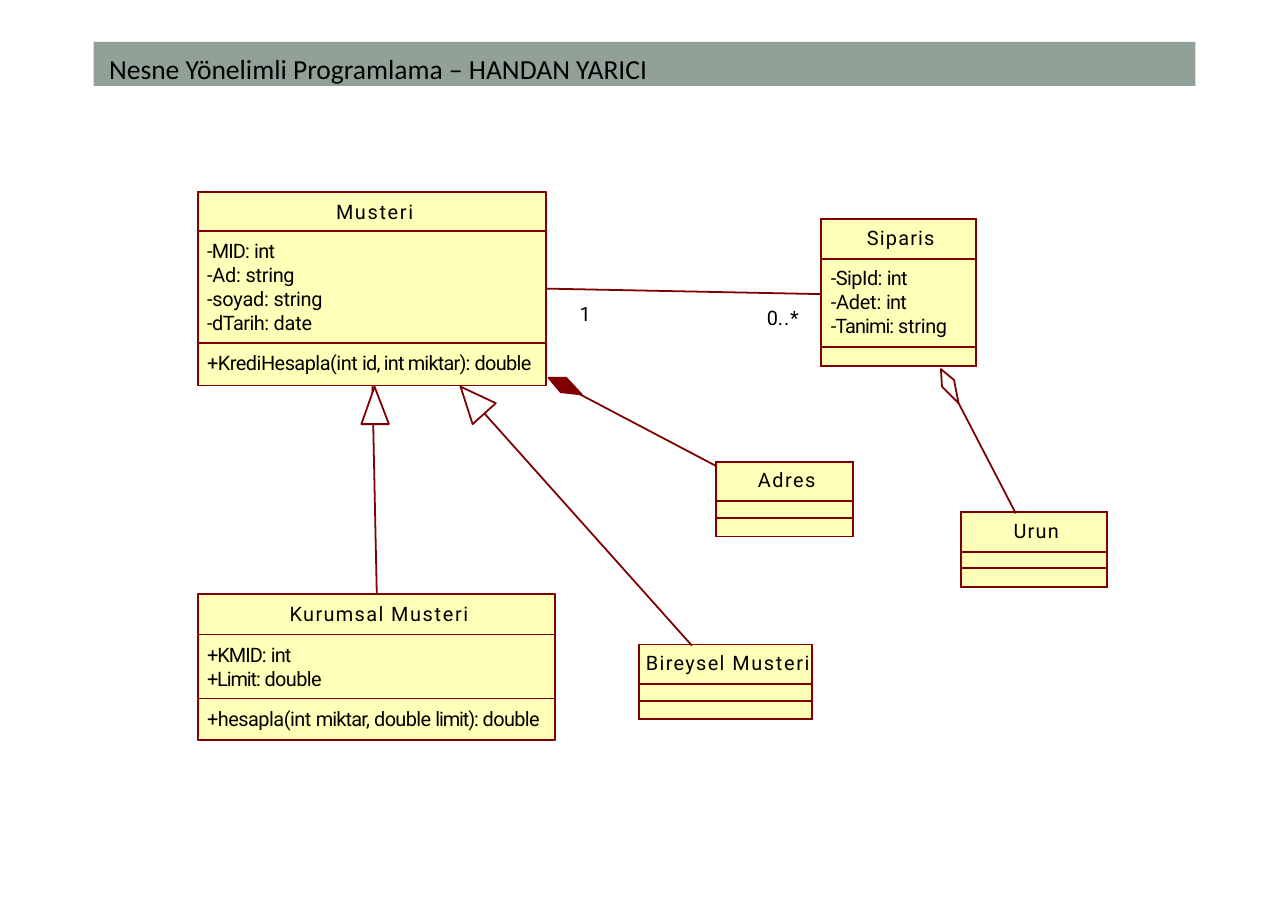
"""Builds a slide with a UML class diagram of customers, orders and products."""
import lxml.etree
import pptx
import pptx.dml.color
import pptx.enum.shapes
import pptx.enum.text
import pptx.oxml.ns
import pptx.util

GRID = pptx.util.Inches(0.1)
COLUMNS, ROWS = 116.9, 82.6
HEX = {"banner": "92A198", "box": "FFFFB9", "edge": "7F0000", "paper": "FFFFFF", "ink": "000000"}
COLOR = {name: pptx.dml.color.RGBColor.from_string(value) for name, value in HEX.items()}
LEFT, CENTER = pptx.enum.text.PP_ALIGN.LEFT, pptx.enum.text.PP_ALIGN.CENTER
qn = pptx.oxml.ns.qn


def at(*steps):
    """Turn grid steps into lengths."""
    return [int(round(GRID * step)) for step in steps]


def write(holder, lines, face="Roboto", size=13, align=LEFT, indent=0, leading=None, insets=(0, 0.7, 0, 0)):
    """Fill a cell or text frame with lines made of (text, letter spacing) pairs."""
    frame = getattr(holder, "text_frame", holder)
    frame.word_wrap = True
    holder.vertical_anchor = pptx.enum.text.MSO_ANCHOR.TOP
    holder.margin_left, holder.margin_top, holder.margin_right, holder.margin_bottom = at(*insets)
    for number, line in enumerate(lines):
        paragraph = frame.add_paragraph() if number else frame.paragraphs[0]
        paragraph.alignment = align
        paragraph.line_spacing = leading
        properties = paragraph._p.get_or_add_pPr()
        properties.set("marL", str(at(indent)[0]))
        properties.set("indent", "0")
        for text, tracking in line:
            run = paragraph.add_run()
            run.text = text
            run.font.name, run.font.size = face, pptx.util.Pt(size)
            run.font.color.rgb = COLOR["ink"]
            run._r.get_or_add_rPr().set("spc", str(round(tracking * 100)))


deck = pptx.Presentation()
deck.slide_width, deck.slide_height = at(COLUMNS, ROWS)
slide = deck.slides.add_slide(deck.slide_layouts[5])
shapes = slide.shapes

title = shapes.title
title.left, title.top, title.width, title.height = at(8.5, 3.8, 100, 4)
title.fill.solid()
title.fill.fore_color.rgb = COLOR["banner"]
title.text_frame.auto_size = pptx.enum.text.MSO_AUTO_SIZE.NONE
write(title.text_frame, [[("Nesne Yönelimli Programlama – HANDAN YARICI", 0)]],
      face="Calibri", size=18, insets=(1.4, 0.9, 0, 0))

boxed_classes = {
    "Musteri": (18, 17.4, 31.6, (3.6, 10.1, 3.9), [
        [[("Musteri", 1.1)]],
        [[("-MID: ", -0.5), ("int", -0.4)],
         [("-Ad: ", -0.1), ("string", -0.2)],
         [("-soyad: ", -0.1), ("string", -0.2)],
         [("-dTarih: ", -0.3), ("date", -0.1)]],
        [[("+KrediHesapla(int ", -0.3), ("id, int miktar): ", -0.5), ("double", -0.4)]]]),
    "Kurumsal": (18, 53.9, 32.4, (3.7, 5.8, 3.8), [
        [[("Kurumsal ", 0.9), ("Musteri", 1.1)]],
        [[("+KMID: ", -0.6), ("int", -0.5)],
         [("+Limit: ", -0.7), ("double", -0.4)]],
        [[("+hesapla(int ", -0.3), ("miktar, ", -0.5), ("double ", -0.4),
          ("limit): ", -0.7), ("double", -0.4)]]]),
}
outlines = {}
for class_name, (left, top, width, heights, parts) in boxed_classes.items():
    areas = [(top, sum(heights), [])]
    areas += [(top + sum(heights[:i]), heights[i], part) for i, part in enumerate(parts)]
    for order, (area_top, height, lines) in enumerate(areas):
        area = shapes.add_shape(pptx.enum.shapes.MSO_SHAPE.RECTANGLE, *at(left, area_top, width, height))
        area.shadow.inherit = False
        area.fill.solid()
        area.fill.fore_color.rgb = COLOR["box"]
        area.line.color.rgb = COLOR["edge"]
        area.line.width = pptx.util.Pt(1.18)
        if order == 0:
            outlines[class_name] = area
        elif order == 1:
            write(area.text_frame, lines, align=CENTER, indent=0.4)
        else:
            write(area.text_frame, lines, indent=0.8, leading=pptx.util.Pt(15.6))

order_fields = [[("-SipId: ", -0.3), ("int", -0.5)],
                [("-Adet: ", -0.1), ("int", -0.5)],
                [("-Tanimi: ", -0.6), ("string", -0.2)]]
slim = (3.6, 1.5, 1.7)
table_classes = [
    (58, 58.5, 15.7, slim, [("Bireysel ", 0.9), ("Musteri", 1.1)], []),
    (74.5, 19.9, 14.1, (3.6, 8, 1.7), [("Siparis", 0.8)], order_fields),
    (87.2, 46.5, 13.3, slim, [("Urun", 0.8)], []),
    (65, 41.9, 12.4, slim, [("Adres", 1)], []),
]
for left, top, width, heights, heading, fields in table_classes:
    table = shapes.add_table(3, 1, *at(left, top, width, sum(heights))).table
    table.first_row = table.horz_banding = False
    table.columns[0].width = at(width)[0]
    for row, (height, lines) in enumerate(zip(heights, ([heading], fields, []))):
        table.rows[row].height = at(height)[0]
        cell = table.cell(row, 0)
        borders = cell._tc.get_or_add_tcPr()
        for side in ("a:lnL", "a:lnR", "a:lnT", "a:lnB"):
            border = lxml.etree.SubElement(borders, qn(side), w=str(pptx.util.Pt(1.5)))
            paint = lxml.etree.SubElement(border, qn("a:solidFill"))
            lxml.etree.SubElement(paint, qn("a:srgbClr"), val=HEX["edge"])
        cell.fill.solid()
        cell.fill.fore_color.rgb = COLOR["box"]
        if row == 0:
            write(cell, lines, align=CENTER, indent=0.4)
        elif lines:
            write(cell, lines, indent=0.9, leading=pptx.util.Pt(15.6))
        else:
            write(cell, lines, insets=(0, 0, 0, 0))
            lxml.etree.SubElement(cell.text_frame.paragraphs[0]._p, qn("a:endParaRPr"), sz="800")

relations = {
    "corporate": (34.2, 53.9, 33.8, 35),
    "individual": (62.8, 58.6, 41.8, 35.1),
    "orders": (49.6, 26.2, 74.6, 26.7),
    "products": (92.2, 46.6, 85.4, 33.5),
    "address": (65, 42.3, 49.8, 34.3),
}
links = {}
for relation, ends in relations.items():
    link = shapes.add_connector(pptx.enum.shapes.MSO_CONNECTOR.STRAIGHT, *at(*ends))
    link.line.color.rgb = COLOR["edge"]
    link.line.width = pptx.util.Pt(1.17)
    lxml.etree.SubElement(link._element.spPr, qn("a:effectLst"))
    links[relation] = link
links["corporate"].begin_connect(outlines["Kurumsal"], 0)
links["corporate"].end_connect(outlines["Musteri"], 2)
links["orders"].begin_connect(outlines["Musteri"], 3)

markers = [
    ("paper", [(35.3, 38.5), (34, 35.1), (32.8, 38.5)]),
    ("paper", [(45, 36.6), (41.8, 35.1), (42.9, 38.5)]),
    ("paper", [(87, 36.6), (86.6, 34.5), (85.4, 33.5), (85.5, 35.1)]),
    ("edge", [(52.8, 35.8), (51.4, 34.3), (49.8, 34.3), (50.9, 35.6)]),
]
for fill, corners in markers:
    outline = shapes.build_freeform(*at(*corners[0]))
    outline.add_line_segments([at(*corner) for corner in corners[1:]], close=True)
    marker = outline.convert_to_shape()
    marker.shadow.inherit = False
    marker.fill.solid()
    marker.fill.fore_color.rgb = COLOR[fill]
    marker.line.color.rgb = COLOR["edge"]
    marker.line.width = pptx.util.Pt(1.17)

multiplicities = [
    (69.5, 27.5, 3.5, [("0", -0.3), ("..", 0.6), ("*", -0.2)]),
    (52.5, 27.2, 1.2, [("1", -0.2)]),
]
for left, top, width, label in multiplicities:
    multiplicity = shapes.add_textbox(*at(left, top, width, 2.5))
    write(multiplicity.text_frame, [label], indent=0.1, insets=(0, 0.2, 0, 0))

deck.save("out.pptx")
